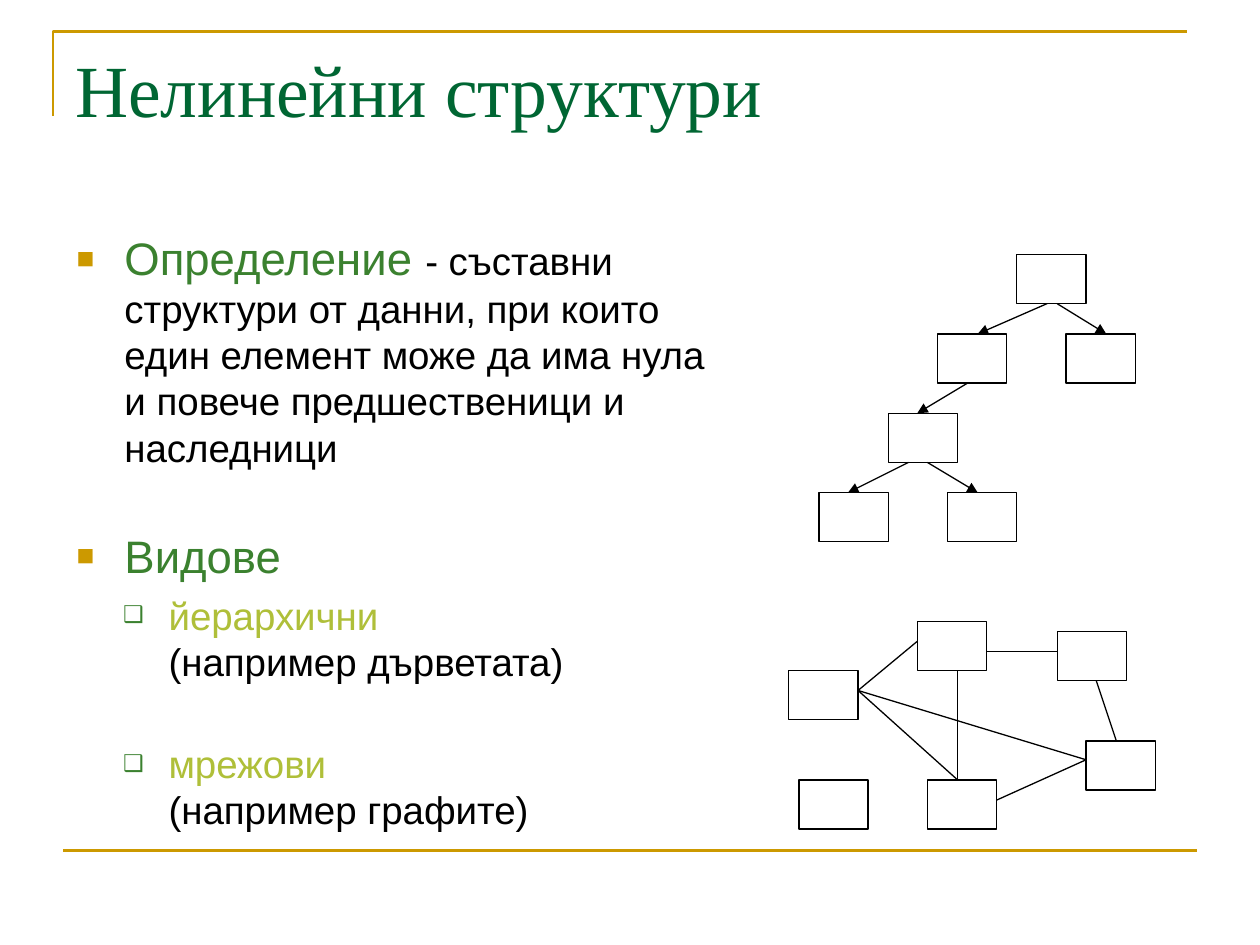
from pptx import Presentation
from pptx.dml.color import RGBColor
from pptx.enum.shapes import MSO_CONNECTOR, MSO_SHAPE
from pptx.enum.text import MSO_ANCHOR
from pptx.oxml.ns import qn
from pptx.util import Inches, Pt
from lxml.etree import SubElement

COLORS = {
    "gold": "CC9900",
    "title": "006633",
    "green": "3B812F",
    "lime": "AFBF39",
    "black": "000000",
}


def paint(name):
    return RGBColor.from_string(COLORS[name])


class Deck:
    """Holds the style and the current slide."""

    sans, serif = "Arial", "Times New Roman"
    node = (0.55, 0.39)

    def __init__(self):
        self.file = Presentation()
        self.file.slide_width = Inches(10)
        self.file.slide_height = Inches(7.5)
        self.slide = self.file.slides.add_slide(self.file.slide_layouts[6])
        self.shapes = self.slide.shapes

    def stroke(self, shape, color, width):
        shape.line.color.rgb = paint(color)
        shape.line.width = Pt(width)

    def frame(self, points):
        start, *rest = [(Inches(x), Inches(y)) for x, y in points]
        build = self.shapes.build_freeform(*start)
        build.add_line_segments(rest, close=False)
        shape = build.convert_to_shape()
        shape.shadow.inherit = False
        shape.fill.background()
        self.stroke(shape, "gold", 1.5)

    def line(self, shapes, ends, color="black", width=0.75, arrow=False):
        link = shapes.add_connector(
            MSO_CONNECTOR.STRAIGHT, *[Inches(v) for v in ends])
        self.stroke(link, color, width)
        if arrow:
            SubElement(link.line._get_or_add_ln(), qn("a:tailEnd"), type="triangle")
        SubElement(link._element.spPr, qn("a:effectLst"))

    def graph(self, nodes, links, arrow=False):
        shapes = self.shapes.add_group_shape().shapes
        for x, y in nodes:
            box = shapes.add_shape(
                MSO_SHAPE.RECTANGLE, *[Inches(v) for v in (x, y, *self.node)])
            box.shadow.inherit = False
            box.fill.background()
            self.stroke(box, "black", 0.75)
        for ends in links:
            self.line(shapes, ends, arrow=arrow)

    def text(self, x, y, w, h):
        box = self.shapes.add_textbox(*[Inches(v) for v in (x, y, w, h)])
        frame = box.text_frame
        frame.word_wrap = True
        frame.vertical_anchor = MSO_ANCHOR.TOP
        return frame

    def style(self, run, size, color, font):
        run.font.size = Pt(size)
        run.font.name = font
        run.font.color.rgb = paint(color)

    def title(self, words, place):
        frame = self.text(*place)
        frame.text = words
        self.style(frame.paragraphs[0].runs[0], 42, "title", self.serif)

    def bullet(self, para, mark, color, scale, left, hang):
        props = para._p.get_or_add_pPr()
        props.set("marL", str(Inches(left)))
        props.set("indent", str(-Inches(hang)))
        tint = SubElement(props, qn("a:buClr"))
        SubElement(tint, qn("a:srgbClr"), val=COLORS[color])
        SubElement(props, qn("a:buSzPct"), val=str(scale * 1000))
        SubElement(props, qn("a:buFont"), typeface=self.sans)
        SubElement(props, qn("a:buChar"), char=mark)

    def list(self, items, place):
        frame = self.text(*place)
        for i, (level, gap, head, tail) in enumerate(items):
            para = frame.add_paragraph() if i else frame.paragraphs[0]
            para.text = head + tail
            # The heading is its own run, so that it can be coloured
            if tail and not tail.startswith("\v"):
                para.runs[0].text = head
                para.add_run().text = tail
            para.level = level
            if gap:
                para.space_before = Pt(gap)
            if level:
                self.bullet(para, "❑", "green", 60, 0.73, 0.36)
            else:
                self.bullet(para, "■", "gold", 65, 0.38, 0.38)
            first, *rest = para.runs
            size, color = (22, "lime") if level else (26, "green")
            self.style(first, size, color, self.sans)
            for run in rest:
                self.style(run, 22, "black", self.sans)


def main():
    deck = Deck()

    # Gold rules
    deck.frame([(0.42, 0.92), (0.42, 0.25), (9.42, 0.25)])
    deck.line(deck.shapes, (0.5, 6.75, 9.5, 6.75), "gold", 1.5)

    # Title and list: level, space before, heading, rest
    deck.title("Нелинейни структури", (0.5, 0.3, 9, 1.25))
    deck.list([
        (0, 0, "Определение ", "- съставни структури от данни, при които един "
         "елемент може да има нула и повече предшественици и наследници"),
        (0, 33, "Видове", ""),
        (1, 5.5, "йерархични", "\v(например дърветата)"),
        (1, 32, "мрежови", "\v(например графите)"),
    ], (0.51, 1.78, 5.43, 4.88))

    # Tree
    rows = [2.02 + 0.63 * i for i in range(4)]
    foot = [y + deck.node[1] for y in rows]
    deck.graph(
        [(8.07, rows[0]), (7.44, rows[1]), (8.46, rows[1]),
         (7.05, rows[2]), (6.5, rows[3]), (7.52, rows[3])],
        [(a, foot[i], b, rows[i + 1]) for i, a, b in [
            (0, 8.31, 7.76), (0, 8.39, 8.78), (1, 7.68, 7.28),
            (2, 7.21, 6.73), (2, 7.36, 7.76)]],
        arrow=True)

    # Network
    hub, east = (6.81, 5.48), (8.62, 6.03)
    top, base = (7.6, 5.32), (7.6, 6.19)
    deck.graph(
        [(8.39, 5.01), (7.28, 4.93), (8.62, 5.88),
         (6.26, 5.32), (6.34, 6.19), (7.36, 6.19)],
        [(*hub, 7.28, 5.09), (*hub, *base), (*hub, *east), (*top, *base),
         (7.91, 6.35, *east), (8.7, 5.4, 8.86, 5.88), (7.83, 5.17, 8.39, 5.17)])

    deck.file.save("out.pptx")


if __name__ == "__main__":
    main()
